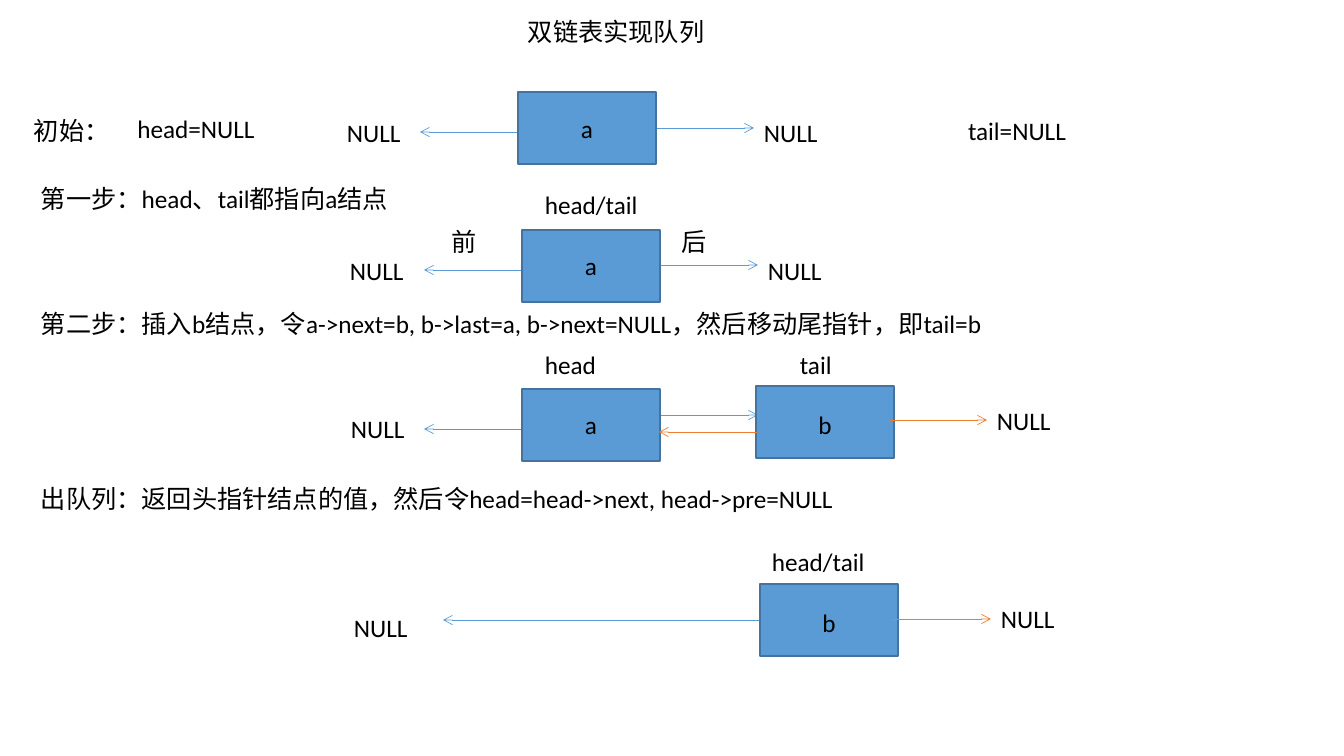
from lxml import etree
from pptx import Presentation
from pptx.dml.color import RGBColor
from pptx.enum.shapes import MSO_CONNECTOR, MSO_SHAPE
from pptx.enum.text import MSO_AUTO_SIZE, PP_ALIGN
from pptx.oxml.ns import qn
from pptx.util import Emu, Pt

STRAIGHT = MSO_CONNECTOR.STRAIGHT
RECTANGLE = MSO_SHAPE.RECTANGLE
GROW = MSO_AUTO_SIZE.SHAPE_TO_FIT_TEXT
LEFT, CENTER = PP_ALIGN.LEFT, PP_ALIGN.CENTER

BLUE = RGBColor(0x5B, 0x9B, 0xD5)
DARK_BLUE = RGBColor(0x43, 0x73, 0x9E)
ORANGE = RGBColor(0xED, 0x7D, 0x31)
BLACK = RGBColor(0, 0, 0)
FONT = "Calibri"

EMU_PER_PIXEL = 914400 / 100.8
SLIDE_SIZE = (1344, 756)
NODE_SIZE = (138, 72)
TEXT_HEIGHT = 40
LETTER_INSET, LETTER_WIDTH = 36, 66
NULL_WIDTH = 85

STEPS = [
    ("双链表实现队列", 518, 11, 309),
    ("初始：", 24, 110, 83),
    ("第一步：head、tail都指向a结点", 31, 178, 410),
    ("前", 442, 221, 70),
    ("后", 672, 221, 70),
    ("第二步：插入b结点，令a->next=b, b->last=a, b->next=NULL，然后移动尾指针，即tail=b",
     31, 303, 1237),
    ("出队列：返回头指针结点的值，然后令head=head->next, head->pre=NULL", 31, 478, 1065),
    ("head/tail", 762, 541, 136),
]
START_VALUES = [("head=NULL", 110, 108, 172), ("tail=NULL", 940, 110, 154)]
POINTERS = [
    ("head/tail", 535, 184, 117),
    ("head", 535, 344, 76),
    ("tail", 790, 344, 52),
]
NULLS = [
    (337, 112), (754, 112), (340, 250), (758, 250),
    (341, 408), (987, 400), (344, 607), (991, 598),
]
NODES = [
    ("a", 518, 92, 108),
    ("a", 522, 230, 245),
    ("a", 522, 389, 404),
    ("b", 756, 386, 404),
    ("b", 760, 584, 602),
]
FIRST_LINKS = [
    (656, 754, 128), (518, 420, 132),
    (660, 758, 265), (522, 424, 270),
    (660, 758, 415), (522, 424, 429),
    (760, 443, 620),
]
ADDED_LINKS = [(757, 659, 432), (889, 987, 420), (893, 991, 619)]


def px(value):
    return Emu(round(value * EMU_PER_PIXEL))


def add_text(text, left, top, width, align=LEFT, wrap=True, size=18, color=BLACK):
    box = page.shapes.add_textbox(px(left), px(top), px(width), px(TEXT_HEIGHT))
    frame = box.text_frame
    frame.word_wrap = wrap
    frame.auto_size = GROW
    para = frame.paragraphs[0]
    para.alignment = align
    span = para.add_run()
    span.text = text
    span.font.name = FONT
    span.font.size = Pt(size)
    span.font.color.rgb = color


def add_node(left, top):
    node = page.shapes.add_shape(RECTANGLE, px(left), px(top), *map(px, NODE_SIZE))
    node.shadow.inherit = False
    node.fill.solid()
    node.fill.fore_color.rgb = BLUE
    node.line.color.rgb = DARK_BLUE
    node.line.width = Pt(1)


def add_link(start, end, y, color):
    link = page.shapes.add_connector(STRAIGHT, px(start), px(y), px(end), px(y))
    link.line.color.rgb = color
    link.line.width = Pt(0.5)
    etree.SubElement(link.line._get_or_add_ln(), qn("a:tailEnd"), type="arrow")
    etree.SubElement(link._element.spPr, qn("a:effectLst"))


deck = Presentation()
deck.slide_width, deck.slide_height = map(px, SLIDE_SIZE)
page = deck.slides.add_slide(deck.slide_layouts[6])

for link in FIRST_LINKS:
    add_link(*link, BLUE)
for letter, left, top, letter_top in NODES:
    add_node(left, top)
    add_text(letter, left + LETTER_INSET, letter_top, LETTER_WIDTH, align=CENTER)
for link in ADDED_LINKS:
    add_link(*link, ORANGE)
for step in STEPS:
    add_text(*step)
for value in START_VALUES:
    add_text(*value, align=CENTER)
for pointer in POINTERS:
    add_text(*pointer, wrap=False)
for left, top in NULLS:
    add_text("NULL", left, top, NULL_WIDTH, wrap=False)

deck.save("out.pptx")
